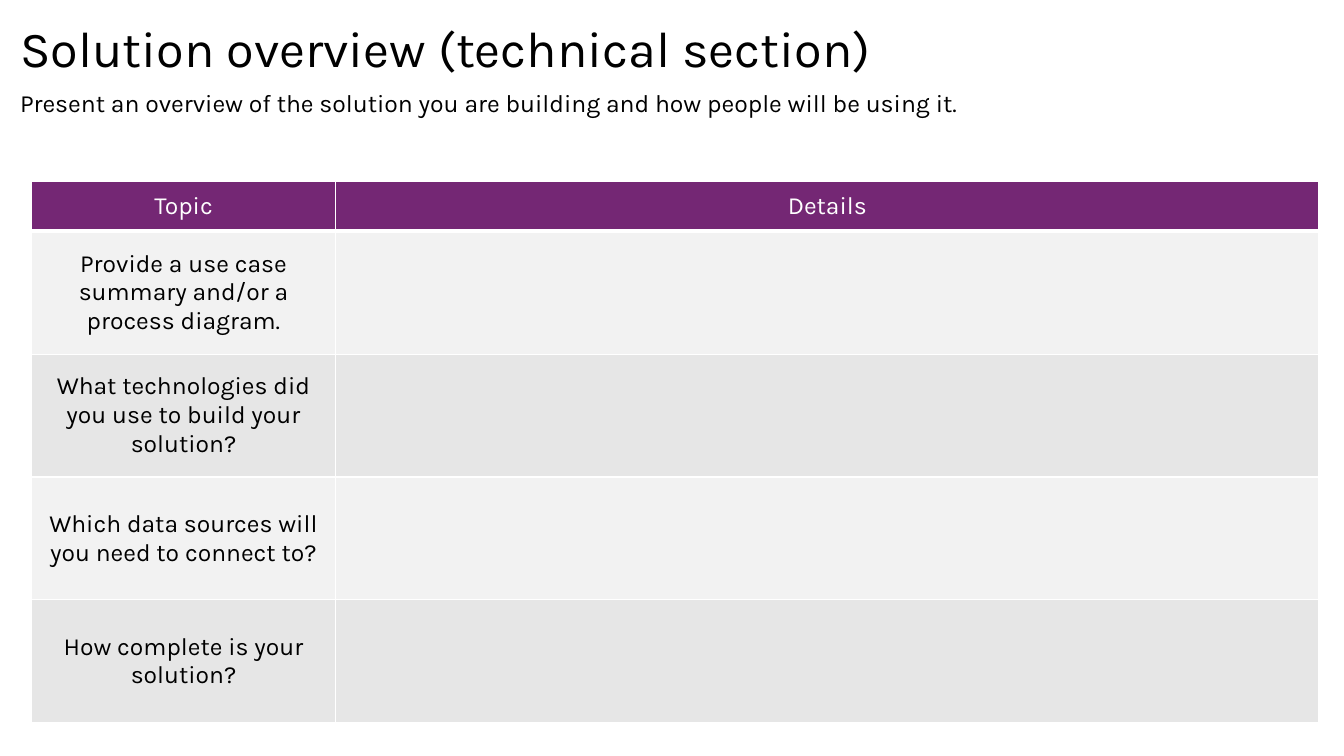
from lxml.etree import SubElement
from pptx import Presentation
from pptx.dml.color import RGBColor
from pptx.enum.text import MSO_ANCHOR as Anchor, MSO_AUTO_SIZE as AutoSize, PP_ALIGN as Align
from pptx.oxml.ns import qn
from pptx.util import Inches, Pt

COLOURS = {
    "text": "000000",
    "header": "742774",
    "white": "FFFFFF",
    "light band": "F2F2F2",
    "dark band": "E6E6E6",
}

TOPICS = [
    "Provide a use case summary and/or a process diagram.",
    "What technologies did you use to build your solution?",
    "Which data sources will you need to connect to?",
    "How complete is your solution?",
]


class SlideBuilder:
    """Places elements on a grid of 100 columns by 100 rows."""

    font = "Karla"

    def __init__(self, deck):
        self.column = deck.slide_width / 100
        self.row = deck.slide_height / 100
        self.page = deck.slides.add_slide(deck.slide_layouts[5])

    def area(self, left, top, width, height):
        """Turn grid columns and rows into slide lengths."""
        return (round(left * self.column), round(top * self.row),
                round(width * self.column), round(height * self.row))

    def add_span(self, frame, text, size, colour="text", align=Align.LEFT):
        para = frame.paragraphs[0]
        para.alignment = align
        span = para.add_run()
        span.text = text
        span.font.name = self.font
        span.font.size = Pt(size)
        span.font.color.rgb = RGBColor.from_string(COLOURS[colour])

    def title(self, text, *place):
        box = self.page.shapes.title
        box.left, box.top, box.width, box.height = self.area(*place)
        box.text_frame.vertical_anchor = Anchor.MIDDLE
        box.text_frame.auto_size = AutoSize.NONE
        self.add_span(box.text_frame, text, 36)

    def text(self, text, *place):
        box = self.page.shapes.add_textbox(*self.area(*place))
        box.text_frame.word_wrap = True
        self.add_span(box.text_frame, text, 17.7)

    def borders(self, cell, bottom):
        properties = cell._tc.get_or_add_tcPr()
        for side, points in (("L", 1), ("R", 1), ("T", 1), ("B", bottom)):
            line = SubElement(properties, qn(f"a:ln{side}"), w=str(Pt(points)))
            fill = SubElement(line, qn("a:solidFill"))
            SubElement(fill, qn("a:srgbClr"), val=COLOURS["white"])

    def cell(self, cell, text, fill, colour, bottom):
        self.borders(cell, bottom)
        cell.fill.solid()
        cell.fill.fore_color.rgb = RGBColor.from_string(COLOURS[fill])
        cell.vertical_anchor = Anchor.MIDDLE
        if text:
            self.add_span(cell.text_frame, text, 17.6, colour, Align.CENTER)

    def table(self, header, rows, left, top, widths, header_height, row_height):
        height = header_height + row_height * len(rows)
        place = self.area(left, top, sum(widths), height)
        grid = self.page.shapes.add_table(len(rows) + 1, len(widths), *place).table
        for column, width in zip(grid.columns, widths):
            column.width = round(width * self.column)
        for index, values in enumerate([header, *rows]):
            is_header = index == 0
            share = header_height if is_header else row_height
            grid.rows[index].height = round(share * self.row)
            band = "light band" if index % 2 else "dark band"
            fill, colour, bottom = ("header", "white", 3) if is_header else (band, "text", 1)
            for cell, value in zip(grid.rows[index].cells, values):
                self.cell(cell, value, fill, colour, bottom)


def main():
    deck = Presentation()
    deck.slide_width, deck.slide_height = Inches(13.33), Inches(7.5)
    slide = SlideBuilder(deck)
    slide.title("Solution overview (technical section)", 0.75, 1.47, 98.65, 9.47)
    slide.text("Present an overview of the solution you are building "
               "and how people will be using it.", 0.75, 10.93, 96.17, 5.33)
    slide.table(("Topic", "Details"), [(topic, "") for topic in TOPICS],
                left=2.33, top=24, widths=(22.66, 73.14),
                header_height=6.6, row_height=16.25)
    deck.save("out.pptx")


if __name__ == "__main__":
    main()
